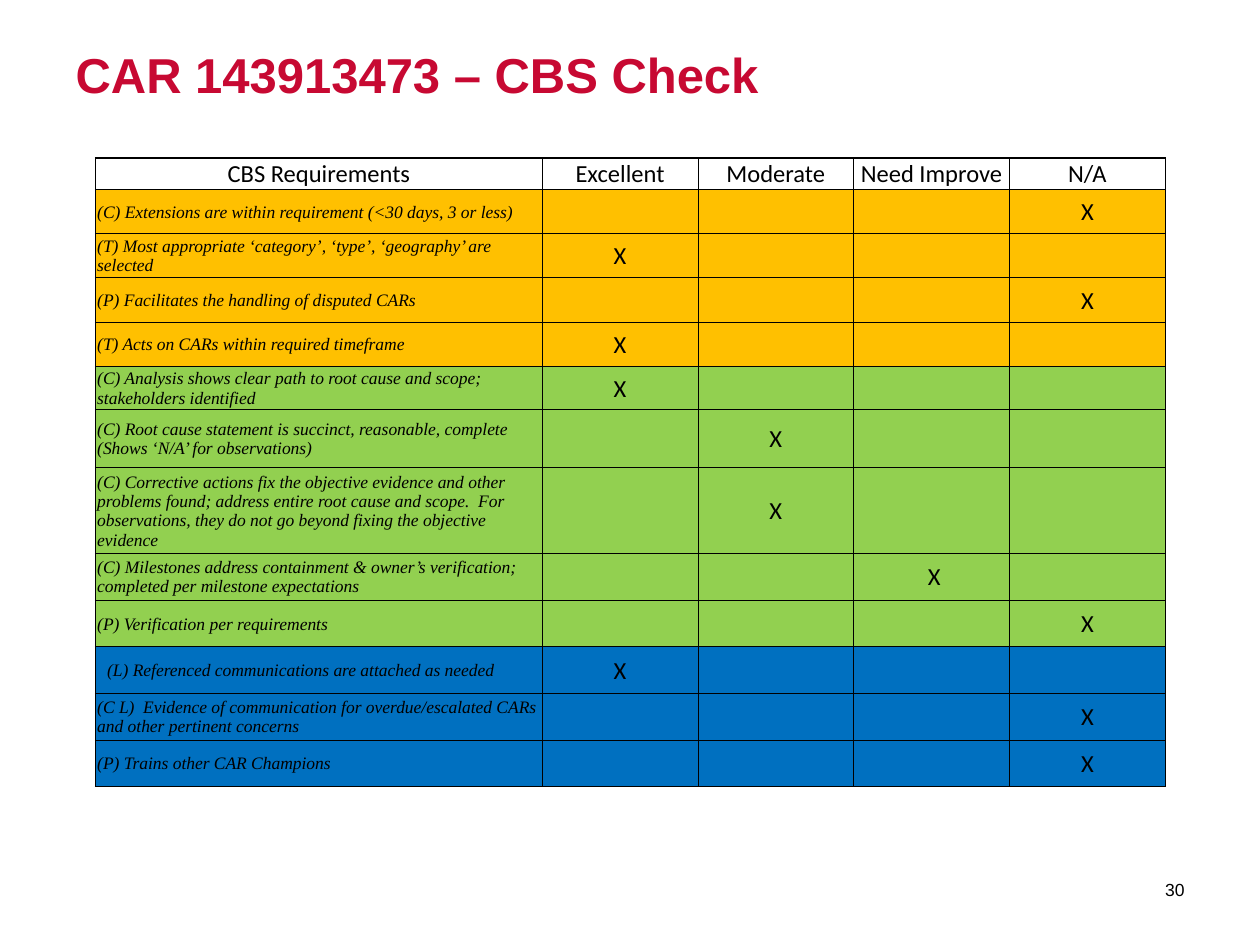
from lxml.etree import SubElement
from pptx import Presentation
from pptx.dml.color import RGBColor
from pptx.enum.text import MSO_ANCHOR, MSO_AUTO_SIZE, PP_ALIGN
from pptx.oxml.ns import qn
from pptx.util import Cm, Pt

COLORS = {
    "title": "C70932",
    "text": "000000",
    "border": "000000",
    "amber": "FFC000",
    "green": "92D050",
    "blue": "0070C0",
}
FORMATS = {
    "title": {"name": "Arial", "size": Pt(28), "bold": True},
    "page": {"name": "Arial", "size": Pt(10)},
    "header": {"name": "Calibri", "size": Pt(14)},
    "requirement": {"name": "Times New Roman", "size": Pt(10), "italic": True},
    "mark": {"name": "Calibri", "size": Pt(14)},
}
INSETS = {
    "margin_left": Cm(0.03),
    "margin_top": Cm(0.03),
    "margin_right": Cm(0.03),
    "margin_bottom": 0,
}
RATINGS = ["Excellent", "Moderate", "Need Improve", "N/A"]
HEADER_HEIGHT = 0.63

# Band colour, row height in cm, requirement, rating, mark
CHECKS = [
    ("amber", 0.89, "(C) Extensions are within requirement (<30 days, 3 or less)", "N/A", "X"),
    ("amber", 0.89, "(T) Most appropriate ‘category’, ‘type’, ‘geography’ are selected",
     "Excellent", "X"),
    ("amber", 0.89, "(P) Facilitates the handling of disputed CARs", "N/A", "X"),
    ("amber", 0.89, "(T) Acts on CARs within required timeframe", "Excellent", "X"),
    ("green", 0.84, "(C) Analysis shows clear path to root cause and scope; "
     "stakeholders identified", "Excellent", "X"),
    ("green", 1.17, "(C) Root cause statement is succinct, reasonable, complete "
     "(Shows ‘N/A’ for observations)", "Moderate", "X"),
    ("green", 1.6, "(C) Corrective actions fix the objective evidence and other problems "
     "found; address entire root cause and scope.  For observations, they do not go "
     "beyond fixing the objective evidence", "Moderate", "X"),
    ("green", 0.94, "(C) Milestones address containment & owner’s verification; "
     "completed per milestone expectations", "Need Improve", " X"),
    ("green", 0.94, "(P) Verification per requirements", "N/A", "X"),
    ("blue", 0.94, "(L) Referenced communications are attached as needed", "Excellent", "X"),
    ("blue", 0.94, "(C L)  Evidence of communication for overdue/escalated CARs "
     "and other pertinent concerns", "N/A", "X"),
    ("blue", 0.94, "(P) Trains other CAR Champions", "N/A", "X"),
]


def write(frame, text, role, align, color="text"):
    """Fill the first paragraph of a text frame in the format of its role."""
    paragraph = frame.paragraphs[0]
    paragraph.alignment = align
    run = paragraph.add_run()
    run.text = text
    for attribute, value in FORMATS[role].items():
        setattr(run.font, attribute, value)
    run.font.color.rgb = RGBColor.from_string(COLORS[color])


def add_borders(cell, outer_sides):
    """Draw 0.5 pt cell borders, with 1 pt on the sides at the table's edge."""
    properties = cell._tc.get_or_add_tcPr()
    for side in "LRTB":
        width = Pt(1) if side in outer_sides else Pt(0.5)
        line = SubElement(properties, qn(f"a:ln{side}"), w=str(width))
        fill = SubElement(line, qn("a:solidFill"))
        SubElement(fill, qn("a:srgbClr"), val=COLORS["border"])


presentation = Presentation()
presentation.slide_width = Cm(25.4)
presentation.slide_height = Cm(19.05)
slide = presentation.slides.add_slide(presentation.slide_layouts[5])

title = slide.shapes.title
title.left, title.top, title.width, title.height = Cm(1.27), Cm(0.76), Cm(22.86), Cm(3.18)
title.text_frame.auto_size = MSO_AUTO_SIZE.NONE
title.text_frame.vertical_anchor = MSO_ANCHOR.TOP
write(title.text_frame, "CAR 143913473 – CBS Check", "title", PP_ALIGN.LEFT, "title")

page_number = slide.shapes.add_textbox(Cm(22.35), Cm(17.42), Cm(1.78), Cm(1.02)).text_frame
page_number.word_wrap = True
page_number.vertical_anchor = MSO_ANCHOR.MIDDLE
write(page_number, "30", "page", PP_ALIGN.RIGHT)

heights = [HEADER_HEIGHT] + [check[1] for check in CHECKS]
widths = [9] + [3.14] * len(RATINGS)
checklist = slide.shapes.add_table(
    len(heights), len(widths), Cm(1.93), Cm(3.19), Cm(sum(widths)), Cm(sum(heights))
).table
checklist.first_row = False
checklist.horz_banding = False
for column, width in zip(checklist.columns, widths):
    column.width = Cm(width)
for row, height in zip(checklist.rows, heights):
    row.height = Cm(height)

last_row, last_column = len(heights) - 1, len(widths) - 1
for row_index, row in enumerate(checklist.rows):
    for column_index, cell in enumerate(row.cells):
        for attribute, value in INSETS.items():
            setattr(cell, attribute, value)
        cell.vertical_anchor = MSO_ANCHOR.MIDDLE if row_index else MSO_ANCHOR.BOTTOM
        edges = {"L": column_index == 0, "R": column_index == last_column,
                 "T": row_index == 0, "B": row_index == last_row}
        add_borders(cell, [side for side, is_outer in edges.items() if is_outer])

for cell, heading in zip(checklist.rows[0].cells, ["CBS Requirements"] + RATINGS):
    cell.fill.background()
    write(cell.text_frame, heading, "header", PP_ALIGN.CENTER)

for row_index, (band, _, requirement, rating, mark) in enumerate(CHECKS, start=1):
    for cell in checklist.rows[row_index].cells:
        cell.fill.solid()
        cell.fill.fore_color.rgb = RGBColor.from_string(COLORS[band])
    requirement_cell = checklist.cell(row_index, 0)
    if requirement.startswith("(L)"):
        requirement_cell.margin_left = Cm(0.23)
    write(requirement_cell.text_frame, requirement, "requirement", PP_ALIGN.LEFT)
    mark_cell = checklist.cell(row_index, 1 + RATINGS.index(rating))
    write(mark_cell.text_frame, mark, "mark", PP_ALIGN.CENTER)

presentation.save("out.pptx")
